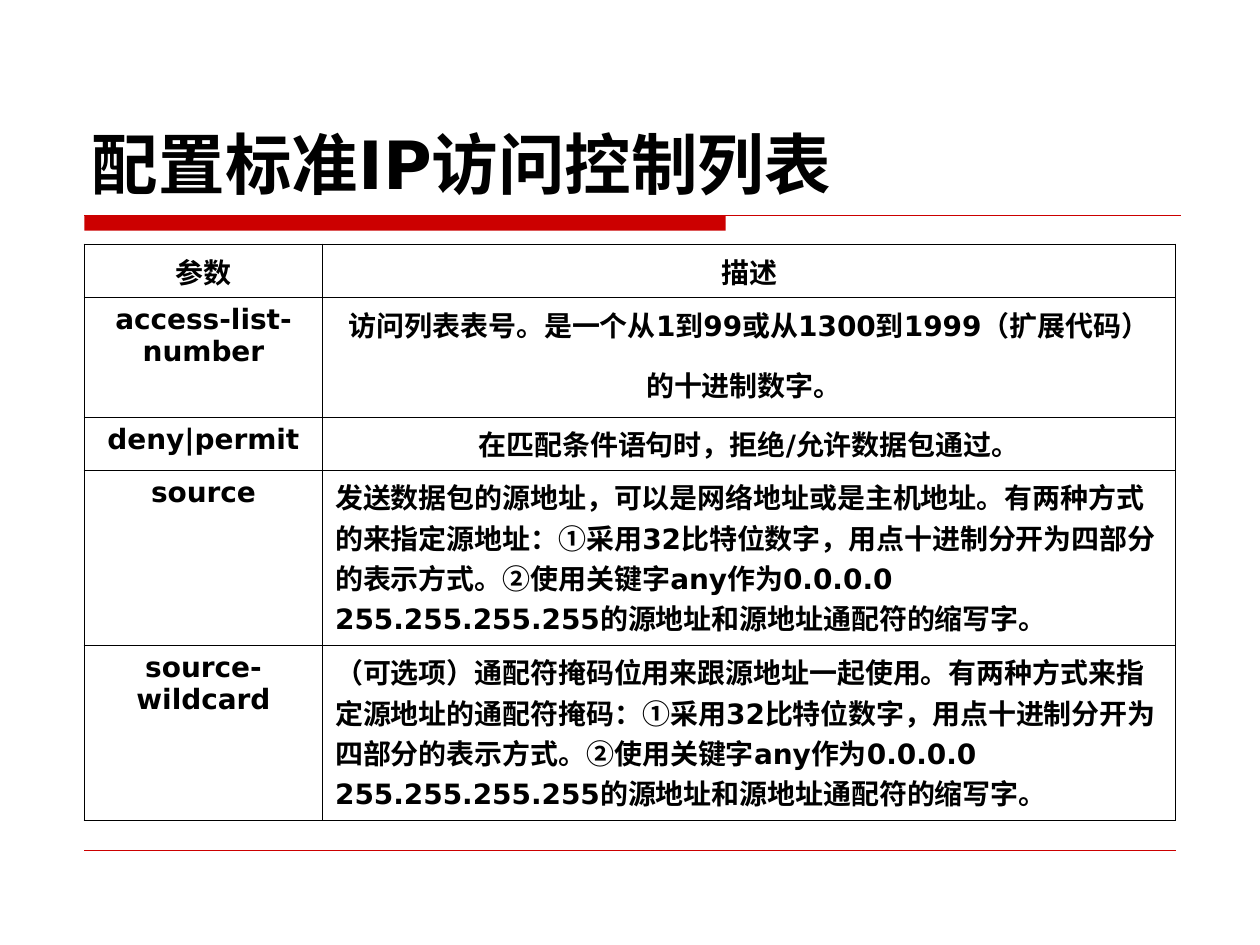
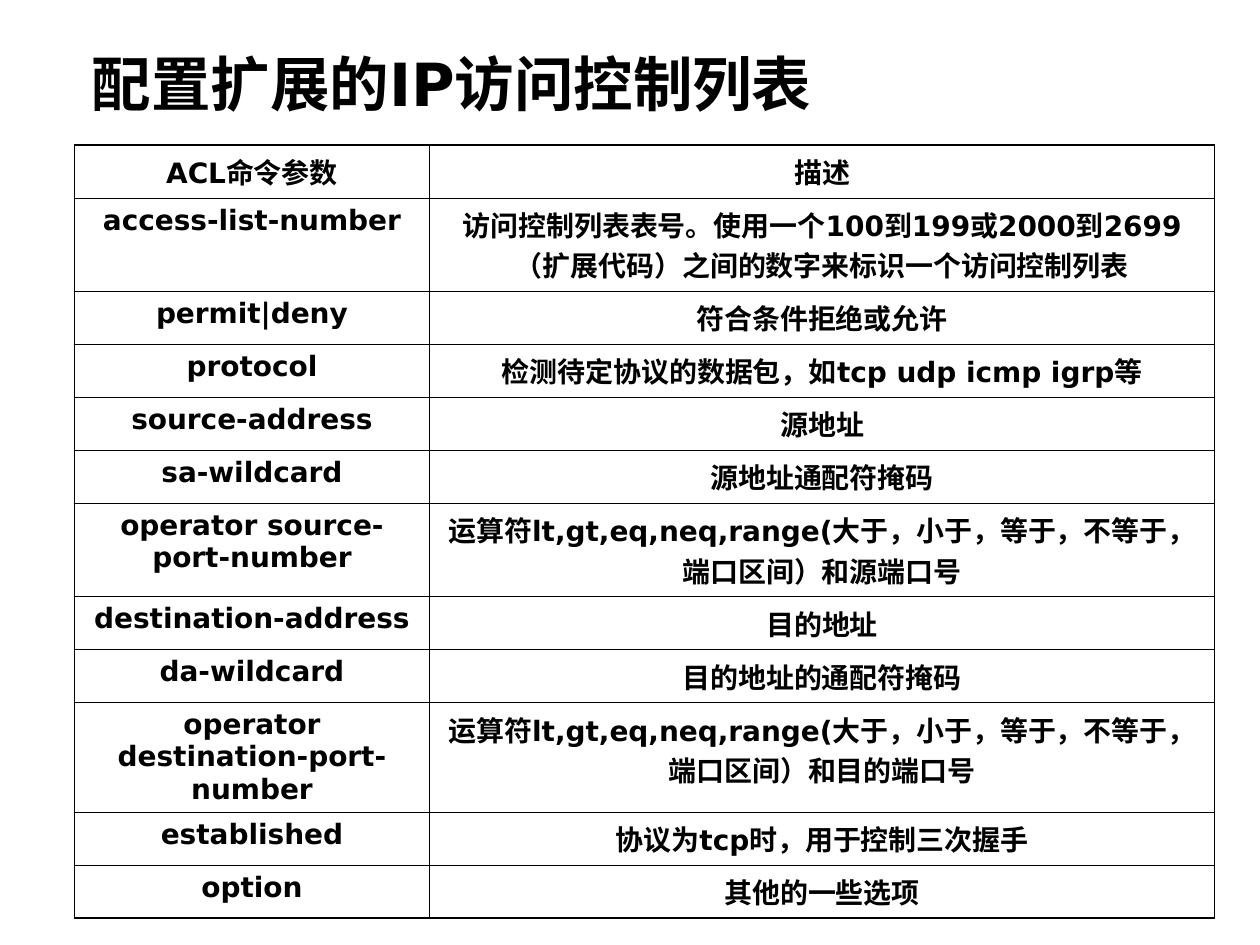
from dataclasses import dataclass
from itertools import groupby
from typing import Optional

from lxml.etree import SubElement
from pptx import Presentation
from pptx.dml.color import RGBColor
from pptx.enum.shapes import MSO_CONNECTOR as Connector, MSO_SHAPE as Shape
from pptx.enum.text import MSO_ANCHOR as Anchor, MSO_AUTO_SIZE as AutoSize, PP_ALIGN as Align
from pptx.oxml.ns import qn
from pptx.util import Inches, Pt

RED, BLACK, WHITE = "CC0000", "000000", "FFFFFF"
LATIN, CHINESE = "DejaVu Sans", "Noto Sans CJK SC"
CIRCLED = "①②"
OUTER, INNER = 1.08, 0.45
NOTATION = (
    "①采用32比特位数字，用点十进制分开为四部分的表示方式。"
    "②使用关键字any作为0.0.0.0 255.255.255.255的源地址和源地址通配符的缩写字。"
)


@dataclass
class Parameter:
    name: str
    description: str
    height: float = 0.42
    align: Align = Align.CENTER
    tail_size: Optional[int] = None


@dataclass
class AclSlide:
    title: str
    title_size: int
    title_height: float
    left: float
    top: float
    columns: tuple[float, float]
    parameters: list[Parameter]
    cell_fill: Optional[str] = None


STANDARD = AclSlide("配置标准IP访问控制列表", 38, 1.33, 0.67, 1.94, (1.89, 6.77), [
    Parameter("参数", "描述"),
    Parameter("access-list-number",
              "访问列表表号。是一个从1到99或从1300到1999（扩展代码）的十进制数字。",
              0.95, tail_size=26),
    Parameter("deny|permit", "在匹配条件语句时，拒绝/允许数据包通过。"),
    Parameter("source",
              "发送数据包的源地址，可以是网络地址或是主机地址。有两种方式的来指定源地址：" + NOTATION,
              1.39, Align.LEFT),
    Parameter("source-wildcard",
              "（可选项）通配符掩码位用来跟源地址一起使用。有两种方式来指定源地址的通配符掩码：" + NOTATION,
              1.39, Align.LEFT),
])

EXTENDED = AclSlide("配置扩展的IP访问控制列表", 34, 0.66, 0.59, 1.15, (2.82, 6.23), [
    Parameter("ACL命令参数", "描述"),
    Parameter("access-list-number",
              "访问控制列表表号。使用一个100到199或2000到2699（扩展代码）之间的数字来标识一个访问控制列表",
              0.74),
    Parameter("permit|deny", "符合条件拒绝或允许"),
    Parameter("protocol", "检测待定协议的数据包，如tcp udp icmp igrp等"),
    Parameter("source-address", "源地址"),
    Parameter("sa-wildcard", "源地址通配符掩码"),
    Parameter("operator source-port-number",
              "运算符lt,gt,eq,neq,range(大于，小于，等于，不等于，端口区间）和源端口号", 0.74),
    Parameter("destination-address", "目的地址"),
    Parameter("da-wildcard", "目的地址的通配符掩码"),
    Parameter("operator destination-port-number",
              "运算符lt,gt,eq,neq,range(大于，小于，等于，不等于，端口区间）和目的端口号", 0.74),
    Parameter("established", "协议为tcp时，用于控制三次握手"),
    Parameter("option", "其他的一些选项"),
], WHITE)


def rgb(color: str) -> RGBColor:
    return RGBColor.from_string(color)


def write(paragraph, text: str, size: int, align: Align = Align.LEFT) -> None:
    for circled, letters in groupby(text, lambda letter: letter in CIRCLED):
        run = paragraph.add_run()
        run.text = "".join(letters)
        if circled:
            run.font.name = CHINESE
    paragraph.alignment = align
    font = paragraph.font
    font.name, font.size, font.bold = LATIN, Pt(size), True
    font.color.rgb = rgb(BLACK)
    defaults = paragraph._p.pPr.find(qn("a:defRPr"))
    defaults.find(qn("a:latin")).addnext(defaults.makeelement(qn("a:ea"), {"typeface": CHINESE}))


def draw_rule(slide, left: float, right: float, y: float, width: float):
    rule = slide.shapes.add_connector(
        Connector.STRAIGHT, Inches(left), Inches(y), Inches(right), Inches(y))
    rule.line.color.rgb = rgb(RED)
    rule.line.width = Pt(width)
    SubElement(rule._element.spPr, qn("a:effectLst"))
    return rule


def decorate_layout(layout, slide) -> None:
    """Build the shared red band and rules on a slide and move them to its layout."""
    for placeholder in list(layout.placeholders):
        if placeholder.placeholder_format.idx != 0:
            layout.shapes.element.remove(placeholder.element)
    band = slide.shapes.add_shape(
        Shape.RECTANGLE, Inches(0.67), Inches(1.71), Inches(5.09), Inches(0.12))
    band.shadow.inherit = False
    band.fill.solid()
    band.fill.fore_color.rgb = rgb(RED)
    band.line.fill.background()
    title_rule = draw_rule(slide, 0.67, 9.37, 1.71, 0.75)
    footer_rule = draw_rule(slide, 0.67, 9.33, 6.75, 0.25)
    for part in (band, title_rule, footer_rule):
        layout.shapes.element.append(part.element)


def set_borders(cell, widths: dict[str, float]) -> None:
    properties = cell._tc.get_or_add_tcPr()
    for position, (side, width) in enumerate(widths.items()):
        border = properties.makeelement(qn(f"a:ln{side}"), {"w": str(Pt(width))})
        fill = SubElement(border, qn("a:solidFill"))
        SubElement(fill, qn("a:srgbClr"), val=BLACK)
        properties.insert(position, border)


def fill_cell(cell, color: Optional[str]) -> None:
    if color:
        cell.fill.solid()
        cell.fill.fore_color.rgb = rgb(color)
    else:
        cell.fill.background()


def draw_title(slide, acl: AclSlide) -> None:
    title = slide.shapes.title
    title.left, title.top = Inches(0.63), Inches(0.33)
    title.width, title.height = Inches(8.75), Inches(acl.title_height)
    frame = title.text_frame
    frame.auto_size = AutoSize.NONE
    frame.vertical_anchor = Anchor.BOTTOM
    write(frame.paragraphs[0], acl.title, acl.title_size)


def draw_parameters(slide, acl: AclSlide) -> None:
    count = len(acl.parameters)
    table = slide.shapes.add_table(
        count, 2, Inches(acl.left), Inches(acl.top), Inches(sum(acl.columns)),
        Inches(sum(parameter.height for parameter in acl.parameters))).table
    table.first_row = table.horz_banding = False
    for column, width in zip(table.columns, acl.columns):
        column.width = Inches(width)
    for row, parameter in enumerate(acl.parameters):
        table.rows[row].height = Inches(parameter.height)
        name, description = table.cell(row, 0), table.cell(row, 1)
        write(name.text_frame.paragraphs[0], parameter.name, 16, Align.CENTER)
        text = description.text_frame.paragraphs[0]
        write(text, parameter.description, 16, parameter.align)
        if parameter.tail_size:
            tail = text.add_run()
            tail.text = " "
            tail.font.size = Pt(parameter.tail_size)
        for column, cell in enumerate((name, description)):
            fill_cell(cell, acl.cell_fill)
            set_borders(cell, {
                "L": OUTER if column == 0 else INNER,
                "R": OUTER if column == 1 else INNER,
                "T": OUTER if row == 0 else INNER,
                "B": OUTER if row == count - 1 else INNER,
            })


def main() -> None:
    deck = Presentation()
    deck.slide_width, deck.slide_height = Inches(10), Inches(7.5)
    layout = deck.slide_layouts[5]
    for acl in (STANDARD, EXTENDED):
        slide = deck.slides.add_slide(layout)
        if acl is STANDARD:
            decorate_layout(layout, slide)
        draw_title(slide, acl)
        draw_parameters(slide, acl)
    deck.save("out.pptx")


if __name__ == "__main__":
    main()
